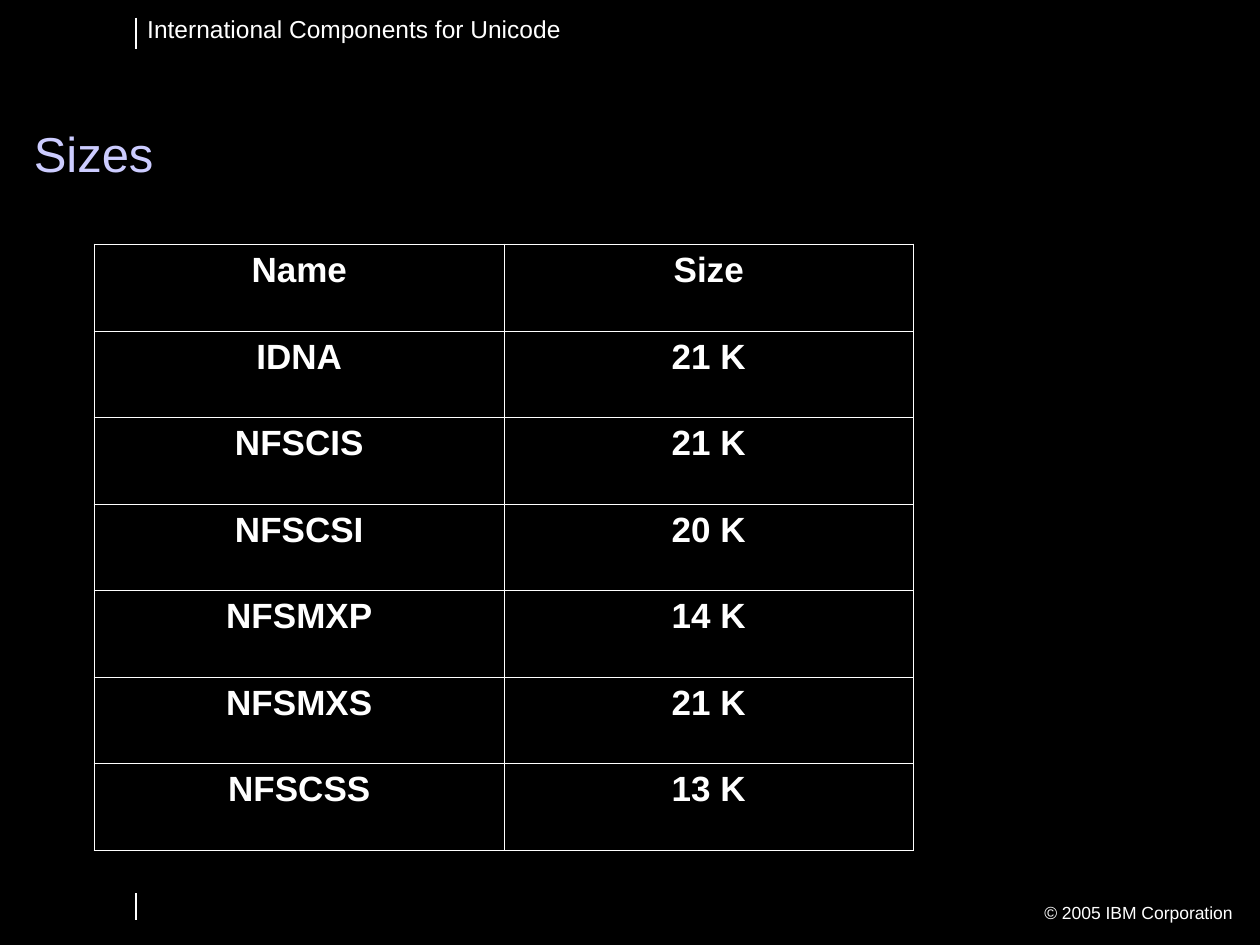
"""Build the slide listing the size of each string preparation profile."""
from dataclasses import dataclass, field

from lxml import etree
from pptx import Presentation
from pptx.dml.color import RGBColor
from pptx.enum.shapes import MSO_CONNECTOR
from pptx.enum.text import MSO_ANCHOR, MSO_AUTO_SIZE, PP_ALIGN
from pptx.oxml.ns import qn
from pptx.util import Inches, Pt

LEFT, CENTER, RIGHT = PP_ALIGN.LEFT, PP_ALIGN.CENTER, PP_ALIGN.RIGHT
TOP, BOTTOM = MSO_ANCHOR.TOP, MSO_ANCHOR.BOTTOM
GROW, FIXED = MSO_AUTO_SIZE.SHAPE_TO_FIT_TEXT, MSO_AUTO_SIZE.NONE
STRAIGHT = MSO_CONNECTOR.STRAIGHT

COLORS = {"bg": "000000", "text": "FFFFFF", "title": "CCCCFF"}
WIDTH, HEIGHT = Inches(10), Inches(7.5)
COLS, ROWS = 100, 75
THIN, THICK = 0.45, 1.08


@dataclass
class Label:
    text: str
    box: tuple[float, float, float, float]
    size: int
    color: str = "text"
    frame: dict = field(default_factory=dict)
    para: dict = field(default_factory=dict)


@dataclass
class Rule:
    col: float
    top: float
    bottom: float


@dataclass
class Grid:
    box: tuple[float, float, float, float]
    rows: list[tuple[str, str]]


LABELS = [
    Label("International Components for Unicode", (10.7, 0.6, 34.9, 3.3), 14,
          frame={"word_wrap": False, "auto_size": GROW}),
    Label("© 2005 IBM Corporation", (62.6, 71.1, 36.2, 2.7), 10,
          frame={"auto_size": GROW}, para={"alignment": RIGHT}),
    Label("Sizes", (1.7, 9.5, 90.2, 5.5), 28, "title",
          frame={"vertical_anchor": BOTTOM}, para={"line_spacing": 0.9}),
]
RULES = [Rule(10.8, 1.4, 3.9), Rule(10.8, 70.9, 73)]
SIZES = Grid((7.5, 19.4, 65, 48.1), [
    ("Name", "Size"), ("IDNA", "21 K"), ("NFSCIS", "21 K"), ("NFSCSI", "20 K"),
    ("NFSMXP", "14 K"), ("NFSMXS", "21 K"), ("NFSCSS", "13 K"),
])


def x(cols: float) -> int:
    return round(WIDTH * cols / COLS)


def y(rows: float) -> int:
    return round(HEIGHT * rows / ROWS)


def place(box: tuple[float, float, float, float]) -> tuple[int, int, int, int]:
    left, top, width, height = box
    return x(left), y(top), x(width), y(height)


def rgb(name: str) -> RGBColor:
    return RGBColor.from_string(COLORS[name])


def apply(obj, values: dict) -> None:
    for name, value in values.items():
        setattr(obj, name, value)


def write(p, text: str, size: int, color: str, para: dict, bold: bool = False) -> None:
    apply(p, para)
    r = p.add_run()
    r.text = text
    apply(r.font, {"name": "Arial", "size": Pt(size), "bold": bold})
    r.font.color.rgb = rgb(color)


def add_label(s, label: Label) -> None:
    tf = s.shapes.add_textbox(*place(label.box)).text_frame
    defaults = {"word_wrap": True, "auto_size": FIXED, "vertical_anchor": TOP}
    apply(tf, defaults | label.frame)
    write(tf.paragraphs[0], label.text, label.size, label.color,
          {"alignment": LEFT} | label.para)


def add_rule(s, rule: Rule) -> None:
    sp = s.shapes.add_connector(STRAIGHT, x(rule.col), y(rule.top),
                                x(rule.col), y(rule.bottom))
    sp.line.width = Pt(1)
    sp.line.color.rgb = rgb("text")
    etree.SubElement(sp._element.spPr, qn("a:effectLst"))


def set_borders(cell, widths: dict[str, float]) -> None:
    tc_pr = cell._tc.get_or_add_tcPr()
    for side, width in widths.items():
        ln = etree.SubElement(tc_pr, qn(f"a:ln{side}"), w=str(Pt(width)))
        fill = etree.SubElement(ln, qn("a:solidFill"))
        etree.SubElement(fill, qn("a:srgbClr"), val=COLORS["text"])


def add_grid(s, grid: Grid) -> None:
    n_rows, n_cols = len(grid.rows), len(grid.rows[0])
    table = s.shapes.add_table(n_rows, n_cols, *place(grid.box)).table
    apply(table, {"first_row": False, "horz_banding": False})
    for i, row in enumerate(grid.rows):
        for j, text in enumerate(row):
            cell = table.cell(i, j)
            edges = {"L": j == 0, "R": j == n_cols - 1,
                     "T": i == 0, "B": i == n_rows - 1}
            set_borders(cell, {side: THICK if outer else THIN
                               for side, outer in edges.items()})
            cell.fill.background()
            write(cell.text_frame.paragraphs[0], text, 20, "text",
                  {"alignment": CENTER, "space_after": Pt(3.7)}, bold=True)


def main() -> None:
    prs = Presentation()
    apply(prs, {"slide_width": WIDTH, "slide_height": HEIGHT})
    s = prs.slides.add_slide(prs.slide_layouts[6])
    s.background.fill.solid()
    s.background.fill.fore_color.rgb = rgb("bg")
    for label in LABELS:
        add_label(s, label)
    for rule in RULES:
        add_rule(s, rule)
    add_grid(s, SIZES)
    prs.save("out.pptx")


if __name__ == "__main__":
    main()
